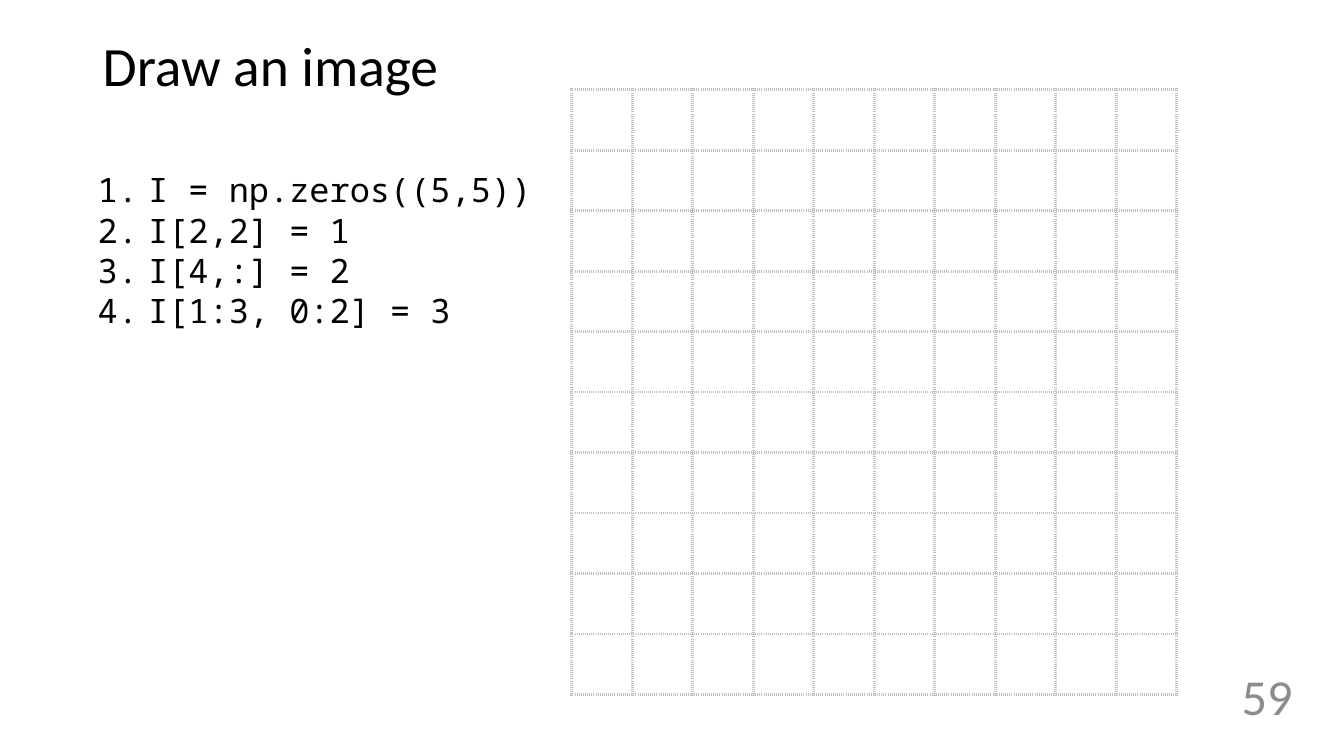
from dataclasses import dataclass

from lxml import etree
from pptx import Presentation
from pptx.dml.color import RGBColor
from pptx.enum.text import MSO_ANCHOR, PP_ALIGN
from pptx.oxml.ns import qn
from pptx.util import Inches, Pt

LEFT, RIGHT = PP_ALIGN.LEFT, PP_ALIGN.RIGHT
TOP, MIDDLE = MSO_ANCHOR.TOP, MSO_ANCHOR.MIDDLE


@dataclass(frozen=True)
class Theme:
    ink: str = "000000"
    muted: str = "8C8C8C"
    grid: str = "BFBFBF"
    body_font: str = "Calibri"
    code_font: str = "Noto Sans Mono"
    title_size: float = 39.6
    number_size: float = 36
    code_size: float = 24
    grid_width: float = 2.25


THEME = Theme()
CODE = [
    "I = np.zeros((5,5))",
    "I[2,2] = 1",
    "I[4,:] = 2",
    "I[1:3, 0:2] = 3",
]


def add_text(s, box, text, font, size, color, align=LEFT, anchor=TOP, spacing=1.0):
    tf = s.shapes.add_textbox(*map(Inches, box)).text_frame
    tf.word_wrap = True
    tf.vertical_anchor = anchor
    tf.text = text
    for p in tf.paragraphs:
        p.alignment = align
        p.line_spacing = spacing
        for r in p.runs:
            r.font.name = font
            r.font.size = Pt(size)
            r.font.color.rgb = RGBColor.from_string(color)
    return tf


def number_lines(tf, indent):
    for p in tf.paragraphs:
        pPr = p._p.get_or_add_pPr()
        pPr.set("marL", str(Inches(indent)))
        pPr.set("indent", str(-Inches(indent)))
        etree.SubElement(pPr, qn("a:buFont"), typeface=THEME.code_font)
        etree.SubElement(pPr, qn("a:buAutoNum"), type="arabicPeriod")


def set_borders(cell):
    tcPr = cell._tc.get_or_add_tcPr()
    for side in ("a:lnL", "a:lnR", "a:lnT", "a:lnB"):
        ln = etree.SubElement(tcPr, qn(side), w=str(Pt(THEME.grid_width)))
        fill = etree.SubElement(ln, qn("a:solidFill"))
        etree.SubElement(fill, qn("a:srgbClr"), val=THEME.grid)
        etree.SubElement(ln, qn("a:prstDash"), val="sysDot")


def add_grid(s, left, top, count, step):
    side = Inches(count * step)
    table = s.shapes.add_table(
        count, count, Inches(left), Inches(top), side, side
    ).table
    table.first_row = False
    table.horz_banding = False
    for column in table.columns:
        column.width = Inches(step)
    for row in table.rows:
        row.height = Inches(step)
    for cell in table.iter_cells():
        set_borders(cell)
        cell.fill.background()


def main():
    prs = Presentation()
    prs.slide_width, prs.slide_height = Inches(13.33), Inches(7.5)
    s = prs.slides.add_slide(prs.slide_layouts[6])
    add_text(s, (0.92, 0.4, 11.5, 0.55), "Draw an image", THEME.body_font,
             THEME.title_size, THEME.ink, anchor=MIDDLE, spacing=0.9)
    add_text(s, (11.67, 6.47, 1.25, 0.86), "59", THEME.body_font,
             THEME.number_size, THEME.muted, align=RIGHT, anchor=MIDDLE)
    add_grid(s, 5.67, 0.89, 10, 0.6)
    tf = add_text(s, (0.87, 1.63, 4.52, 1.72), "\n".join(CODE), THEME.code_font,
                  THEME.code_size, THEME.ink)
    number_lines(tf, 0.5)
    prs.save("out.pptx")


if __name__ == "__main__":
    main()
